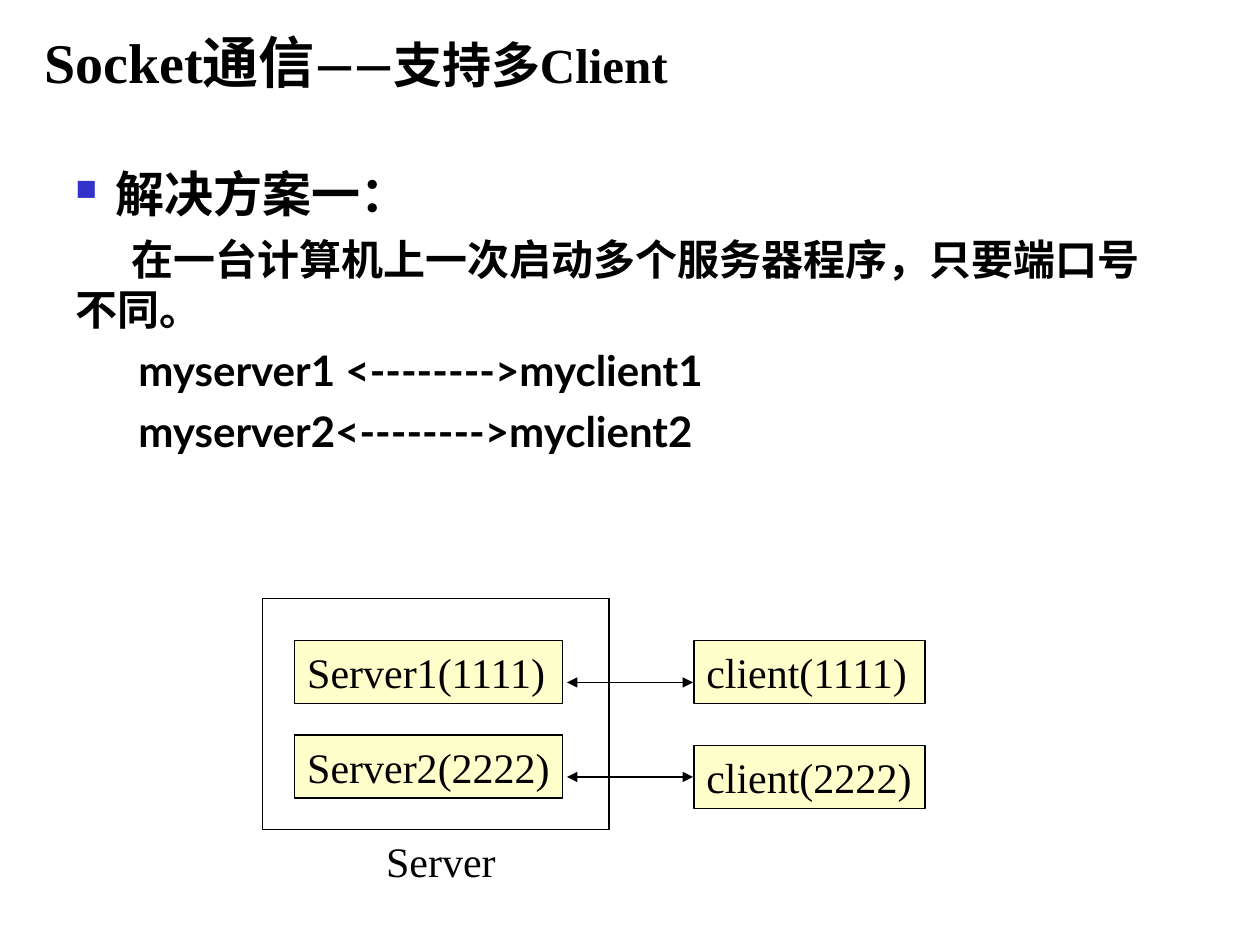
from dataclasses import dataclass

from lxml.etree import SubElement
from pptx import Presentation
from pptx.dml.color import RGBColor as RGB
from pptx.enum.shapes import MSO_CONNECTOR as Connector, MSO_SHAPE as Shape
from pptx.enum.text import MSO_ANCHOR as Anchor, MSO_AUTO_SIZE as AutoSize, PP_ALIGN as Align
from pptx.oxml.ns import qn
from pptx.util import Pt


@dataclass
class Theme:
    ink = RGB(0x00, 0x00, 0x00)
    node = RGB(0xFF, 0xFF, 0xCC)
    bullet = "3333CC"
    serif = "Times New Roman"
    sans = "Lato"
    title = 32
    heading = 28
    body = 24
    line = 0.75


theme = Theme()


def set_font(para, name, size, bold=False):
    font = para.font
    font.name, font.size, font.bold = name, Pt(size), bold
    font.color.rgb = theme.ink
    SubElement(font._element, qn("a:ea"), typeface=theme.sans)


def add_box(left, top, width, height, fill=None):
    box = page.shapes.add_shape(Shape.RECTANGLE, Pt(left), Pt(top), Pt(width), Pt(height))
    box.shadow.inherit = False
    box.line.color.rgb = theme.ink
    box.line.width = Pt(theme.line)
    if fill is None:
        box.fill.background()
    else:
        box.fill.solid()
        box.fill.fore_color.rgb = fill
    return box


deck = Presentation()
deck.slide_width, deck.slide_height = Pt(720), Pt(540)
page = deck.slides.add_slide(deck.slide_layouts[5])

# Title
title = page.shapes.title
title.left, title.top, title.width, title.height = Pt(18), Pt(12), Pt(630), Pt(46)
frame = title.text_frame
frame.auto_size = AutoSize.NONE
frame.word_wrap = True
frame.vertical_anchor = Anchor.TOP
para = frame.paragraphs[0]
para.alignment = Align.LEFT
set_font(para, theme.serif, theme.title, bold=True)
for text, size in [("Socket通信", theme.title), ("——支持多Client", theme.heading)]:
    span = para.add_run()
    span.text = text
    span.font.size = Pt(size)

# Explanation: text, size, left margin, first-line indent, bullet
lines = [
    ("解决方案一：", theme.heading, 23, -23, True),
    ("在一台计算机上一次启动多个服务器程序，只要端口号不同。", theme.body, 0, 32, False),
    ("myserver1 <-------->myclient1", theme.body, 36, 0, False),
    ("myserver2<-------->myclient2", theme.body, 36, 0, False),
]
frame = page.shapes.add_textbox(Pt(36), Pt(90), Pt(637), Pt(174)).text_frame
frame.word_wrap = True
for index, (text, size, margin, indent, bulleted) in enumerate(lines):
    para = frame.paragraphs[0] if index == 0 else frame.add_paragraph()
    para.text = text
    para.space_before = Pt(6 if index else 0)
    props = para._p.get_or_add_pPr()
    props.set("marL", str(Pt(margin)))
    props.set("indent", str(Pt(indent)))
    if bulleted:
        color = SubElement(props, qn("a:buClr"))
        SubElement(color, qn("a:srgbClr"), val=theme.bullet)
        SubElement(props, qn("a:buSzPct"), val="60000")
        SubElement(props, qn("a:buChar"), char="■")
    set_font(para, theme.sans, size, bold=True)

# Server frame and its caption
add_box(150, 342, 198, 132)
frame = page.shapes.add_textbox(Pt(198), Pt(474), Pt(108), Pt(36)).text_frame
frame.word_wrap = True
para = frame.paragraphs[0]
para.text = "Server"
para.alignment = Align.CENTER
set_font(para, theme.serif, theme.body)

# Programs on both sides
nodes = [
    ("Server1(1111)", 168.5, 366, 153),
    ("Server2(2222)", 168.5, 420, 153),
    ("client(1111)", 396.5, 366, 132),
    ("client(2222)", 396.5, 426, 132),
]
for text, left, top, width in nodes:
    frame = add_box(left, top, width, 36, theme.node).text_frame
    frame.word_wrap = True
    frame.margin_right = 0
    frame.vertical_anchor = Anchor.TOP
    para = frame.paragraphs[0]
    para.text = text
    para.alignment = Align.LEFT
    set_font(para, theme.serif, theme.body)

# Two-way arrows
for y in (390, 444):
    arrow = page.shapes.add_connector(Connector.STRAIGHT, Pt(324), Pt(y), Pt(396), Pt(y))
    arrow.line.color.rgb = theme.ink
    arrow.line.width = Pt(theme.line)
    stroke = arrow.line._get_or_add_ln()
    for end in ("a:headEnd", "a:tailEnd"):
        SubElement(stroke, qn(end), type="triangle")
    SubElement(arrow._element.spPr, qn("a:effectLst"))

deck.save("out.pptx")
